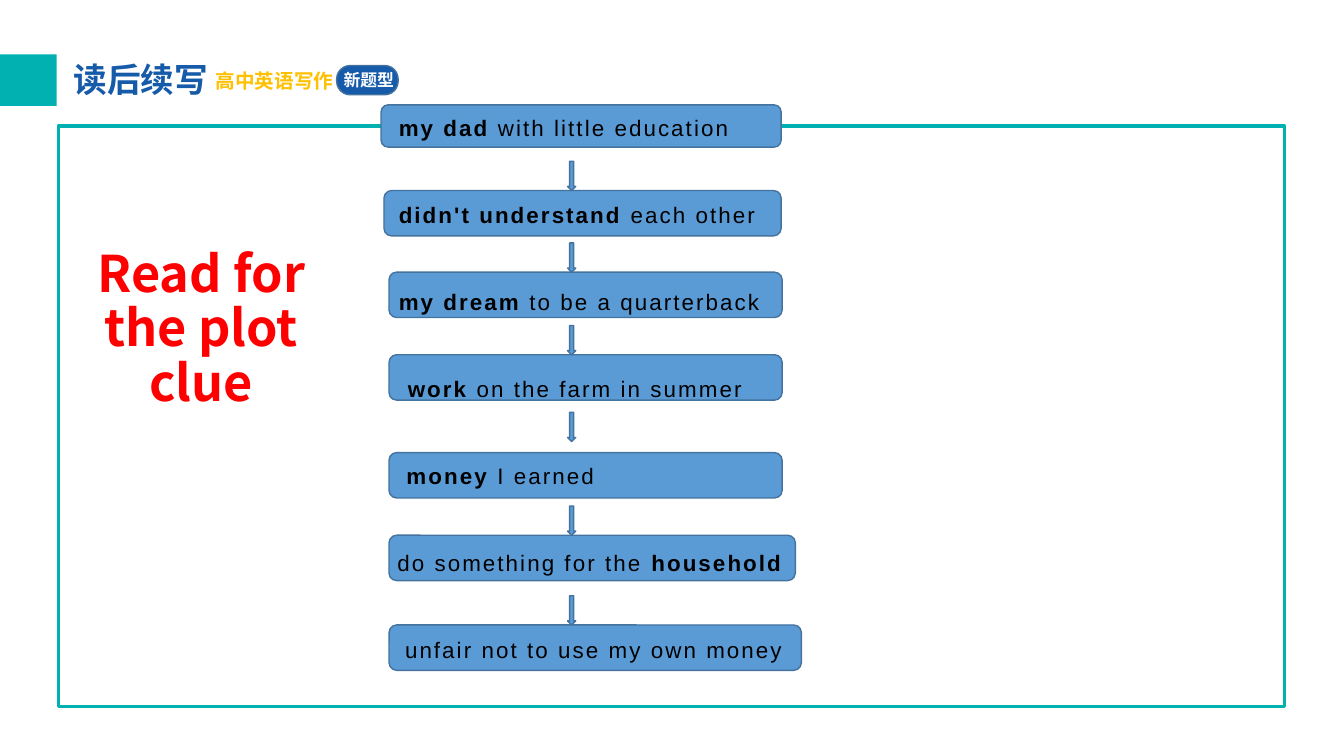
from dataclasses import dataclass

from lxml.etree import SubElement
from pptx import Presentation
from pptx.dml.color import RGBColor
from pptx.enum.shapes import MSO_SHAPE
from pptx.enum.text import MSO_ANCHOR, MSO_AUTO_SIZE, PP_ALIGN
from pptx.oxml.ns import qn
from pptx.shapes.autoshape import Shape
from pptx.slide import Slide
from pptx.text.text import _Paragraph
from pptx.util import Pt


@dataclass(frozen=True)
class Theme:
    white: str = "FFFFFF"
    black: str = "000000"
    teal: str = "01B1B1"
    navy: str = "165BA9"
    gold: str = "FFC000"
    red: str = "FF0000"
    blue: str = "5B9BD5"
    edge: str = "43739E"
    sans: str = "Arial"
    cjk: str = "Noto Sans CJK SC"
    title: int = 36
    brand: int = 24
    step: int = 16
    label: int = 14
    badge: int = 12


@dataclass(frozen=True)
class Box:
    left: float
    top: float
    width: float
    height: float


@dataclass(frozen=True)
class Label:
    text: str
    box: Box
    size: int
    color: str


@dataclass(frozen=True)
class Step:
    words: tuple[str, ...]
    bold: int | None
    indent: float
    left: float
    top: float
    width: float
    height: float = 32.4
    gap: float = 0


THEME = Theme()
ARROW_LEFT, ARROW_WIDTH, ARROW_HEIGHT = 405.4, 5.8, 20.9
LINE, PITCH = 22, 62.14

FRAME = Box(41.8, 90, 875.5, 414.7)
TAB = Box(-1.4, 38.9, 41.8, 36.7)
BADGE = Box(240.5, 46.8, 43.9, 20.9)
HEAD = Box(52.6, 218.9, 182.2, 34.6)
BODY = Box(52.6, 74.9, 854.6, 424.1)

LABELS = [
    Label("高中英语写作", Box(146.9, 45.4, 100.1, 24.5), THEME.label, THEME.gold),
    Label("新题型", Box(238.3, 46.1, 56.9, 21.6), THEME.badge, THEME.white),
    Label("读后续写", Box(45.4, 38.2, 118.1, 36), THEME.brand, THEME.navy),
]

STEPS = [
    Step(("my dad", " with little education"), 0, 225, 272.2, 74.9, 285.8, 30.2),
    Step(("didn't understand", " each other"), 0, 225, 274.3, 136.1, 283.7),
    Step(("my dream", " to be a quarterback"), 0, 225, 277.9, 194.4, 280.8),
    Step(("work", " on the farm in summer"), 0, 231.5, 277.9, 253.4, 280.8),
    Step(("money", " I earned"), 0, 230.5, 277.9, 323.3, 280.8, gap=7.9),
    Step(("do something for the ", "household"), 1, 224, 277.9, 382.3, 290.2),
    Step(("unfair not to use my own money",), None, 229.5, 277.9, 446.4, 294.5),
]


def write(para: _Paragraph, text: str, *, size: int, color: str, font: str,
          bold: bool = False, track: float = 0) -> None:
    run = para.add_run()
    run.text = text
    run.font.size = Pt(size)
    run.font.bold = bold
    run.font.name = font
    run.font.color.rgb = RGBColor.from_string(color)
    props = run.font._element
    SubElement(props, qn("a:ea")).set("typeface", font)
    if track:
        props.set("spc", str(int(track * 100)))


def place(shape: Shape, box: Box) -> None:
    shape.left, shape.top = Pt(box.left), Pt(box.top)
    shape.width, shape.height = Pt(box.width), Pt(box.height)


def draw(slide: Slide, kind: MSO_SHAPE, box: Box, fill: str,
         line: str | None = None, weight: float = 1) -> Shape:
    shape = slide.shapes.add_shape(
        kind, Pt(box.left), Pt(box.top), Pt(box.width), Pt(box.height))
    shape.shadow.inherit = False
    shape.fill.solid()
    shape.fill.fore_color.rgb = RGBColor.from_string(fill)
    if line:
        shape.line.color.rgb = RGBColor.from_string(line)
        shape.line.width = Pt(weight)
    else:
        shape.line.fill.background()
    return shape


def add_label(slide: Slide, label: Label) -> None:
    box = label.box
    shape = slide.shapes.add_textbox(
        Pt(box.left), Pt(box.top), Pt(box.width), Pt(box.height))
    frame = shape.text_frame
    frame.word_wrap = True
    frame.vertical_anchor = MSO_ANCHOR.MIDDLE
    frame.margin_top = frame.margin_bottom = Pt(0)
    write(frame.paragraphs[0], label.text, size=label.size,
          color=label.color, font=THEME.cjk, bold=True)


def add_step(slide: Slide, step: Step, first: bool) -> None:
    draw(slide, MSO_SHAPE.ROUNDED_RECTANGLE,
         Box(step.left, step.top, step.width, step.height),
         THEME.blue, THEME.edge)
    if not first:
        top = step.top - step.gap - ARROW_HEIGHT
        draw(slide, MSO_SHAPE.DOWN_ARROW,
             Box(ARROW_LEFT, top, ARROW_WIDTH, ARROW_HEIGHT),
             THEME.blue, THEME.edge)


def fill_title(shape: Shape) -> None:
    place(shape, HEAD)
    frame = shape.text_frame
    frame.word_wrap = True
    frame.auto_size = MSO_AUTO_SIZE.NONE
    frame.vertical_anchor = MSO_ANCHOR.MIDDLE
    para = frame.paragraphs[0]
    para.alignment = PP_ALIGN.CENTER
    para.line_spacing = 0.9
    write(para, "Read for the plot clue", size=THEME.title,
          color=THEME.red, font=THEME.cjk, bold=True)


def fill_body(shape: Shape) -> None:
    place(shape, BODY)
    frame = shape.text_frame
    frame.word_wrap = True
    frame.auto_size = MSO_AUTO_SIZE.NONE
    frame.vertical_anchor = MSO_ANCHOR.TOP
    for index, step in enumerate(STEPS):
        para = frame.add_paragraph() if index else frame.paragraphs[0]
        para.line_spacing = Pt(LINE)
        para.space_before = Pt(0)
        para.space_after = Pt(PITCH - LINE)
        props = para._p.get_or_add_pPr()
        props.set("marL", str(Pt(step.indent)))
        props.set("indent", "0")
        SubElement(props, qn("a:buNone"))
        for spot, text in enumerate(step.words):
            write(para, text, size=THEME.step, color=THEME.black,
                  font=THEME.sans, bold=spot == step.bold, track=1.5)


def main() -> None:
    deck = Presentation()
    deck.slide_width, deck.slide_height = Pt(960), Pt(540)
    slide = deck.slides.add_slide(deck.slide_layouts[1])
    title, body = slide.shapes.title, slide.placeholders[1]
    draw(slide, MSO_SHAPE.RECTANGLE, FRAME, THEME.white, THEME.teal, 2.25)
    draw(slide, MSO_SHAPE.RECTANGLE, TAB, THEME.teal)
    badge = draw(slide, MSO_SHAPE.ROUNDED_RECTANGLE, BADGE, THEME.navy, THEME.edge)
    badge.adjustments[0] = 0.46
    for label in LABELS:
        add_label(slide, label)
    for index, step in enumerate(STEPS):
        add_step(slide, step, index == 0)
    fill_title(title)
    fill_body(body)
    for shape in (title, body):
        slide.shapes._spTree.append(shape._element)
    deck.save("out.pptx")


if __name__ == "__main__":
    main()
